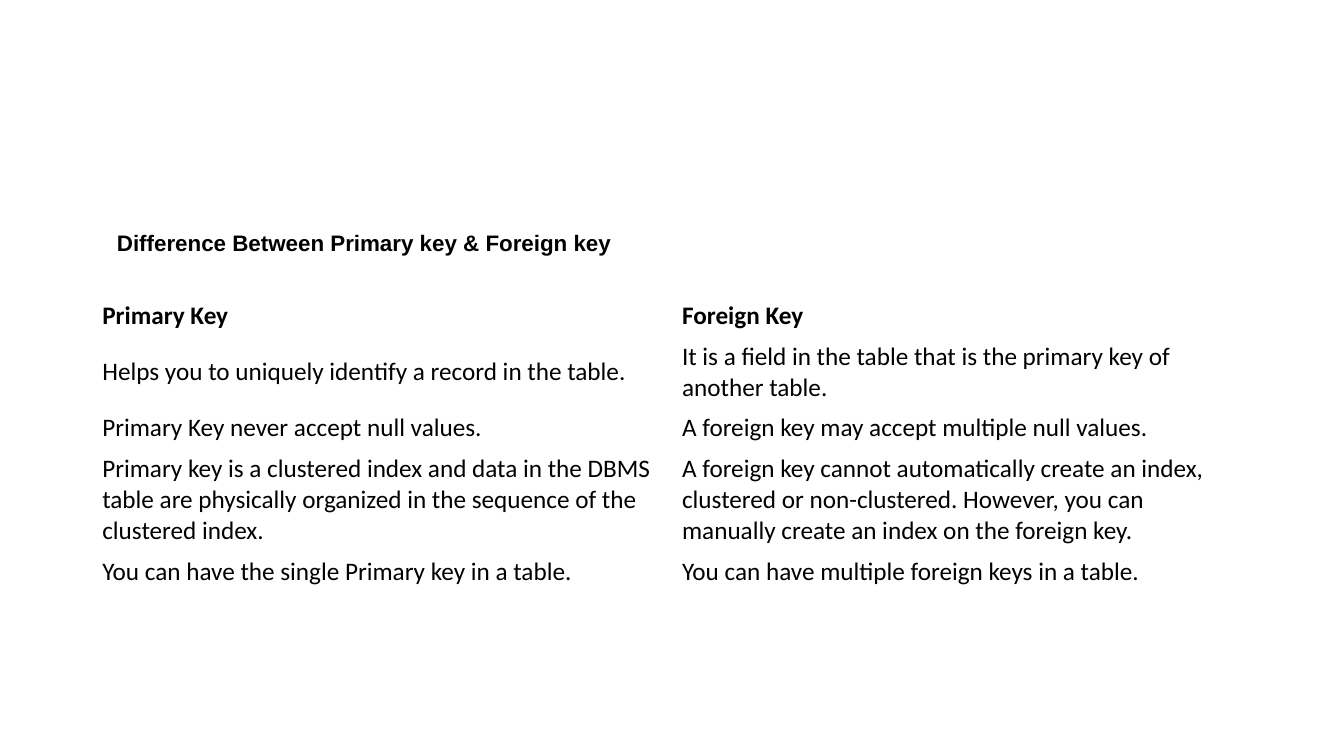
from pptx import Presentation
from pptx import util as u
from pptx.dml import color
from pptx.enum import text

SLIDE_W, SLIDE_H = u.Inches(13.33), u.Inches(7.5)
BLACK = "000000"
LINE_H, CELL_PAD = 0.305, 0.1  # inches: one line of 18 pt text, top plus bottom margin

# Primary key, foreign key, lines of text in the row
COMPARISON = [
    ("Primary Key", "Foreign Key", 1),
    ("Helps you to uniquely identify a record in the table.",
     "It is a field in the table that is the primary key of another table.", 2),
    ("Primary Key never accept null values.",
     "A foreign key may accept multiple null values.", 1),
    ("Primary key is a clustered index and data in the DBMS table are physically "
     "organized in the sequence of the clustered index.",
     "A foreign key cannot automatically create an index, clustered or non-clustered. "
     "However, you can manually create an index on the foreign key.", 3),
    ("You can have the single Primary key in a table.",
     "You can have multiple foreign keys in a table.", 1),
]


def rgb(hex_color):
    return color.RGBColor.from_string(hex_color)


def format_text(frame, font_name, size, bold):
    for paragraph in frame.paragraphs:
        paragraph.alignment = text.PP_ALIGN.LEFT
        for run in paragraph.runs:
            run.font.name = font_name
            run.font.size = u.Pt(size)
            run.font.bold = bold
            run.font.color.rgb = rgb(BLACK)


def place_heading(slide, left, top, width, height):
    heading = slide.shapes.title
    heading.left, heading.top, heading.width, heading.height = left, top, width, height
    frame = heading.text_frame
    frame.text = "Difference Between Primary key & Foreign key"
    frame.auto_size = text.MSO_AUTO_SIZE.NONE
    frame.vertical_anchor = text.MSO_ANCHOR.TOP
    frame.margin_top = 0
    format_text(frame, "Arial", 16, True)


def place_comparison(slide, left, top, width, height):
    table = slide.shapes.add_table(len(COMPARISON), 2, left, top, width, height).table
    table.first_row = table.horz_banding = False
    for column in table.columns:
        column.width = width // 2
    for row_index, (primary, foreign, lines) in enumerate(COMPARISON):
        table.rows[row_index].height = u.Inches(lines * LINE_H + CELL_PAD)
        for column_index, wording in enumerate((primary, foreign)):
            cell = table.cell(row_index, column_index)
            cell.fill.background()
            cell.vertical_anchor = text.MSO_ANCHOR.MIDDLE
            cell.text_frame.text = wording
            format_text(cell.text_frame, "Calibri", 18, row_index == 0)


def build_key_slide(prs):
    slide = prs.slides.add_slide(prs.slide_layouts[5])
    slide.background.fill.solid()
    slide.background.fill.fore_color.rgb = rgb("FFFFFF")
    heading_left = u.Inches(1.06)
    place_heading(slide, heading_left, u.Inches(2.27), SLIDE_W - heading_left, u.Inches(0.5))
    table_w = u.Inches(11.5)
    place_comparison(slide, (SLIDE_W - table_w) // 2, u.Inches(2.93), table_w, u.Inches(2.9))


def main():
    prs = Presentation()
    prs.slide_width, prs.slide_height = SLIDE_W, SLIDE_H
    build_key_slide(prs)
    prs.save("out.pptx")


if __name__ == "__main__":
    main()
